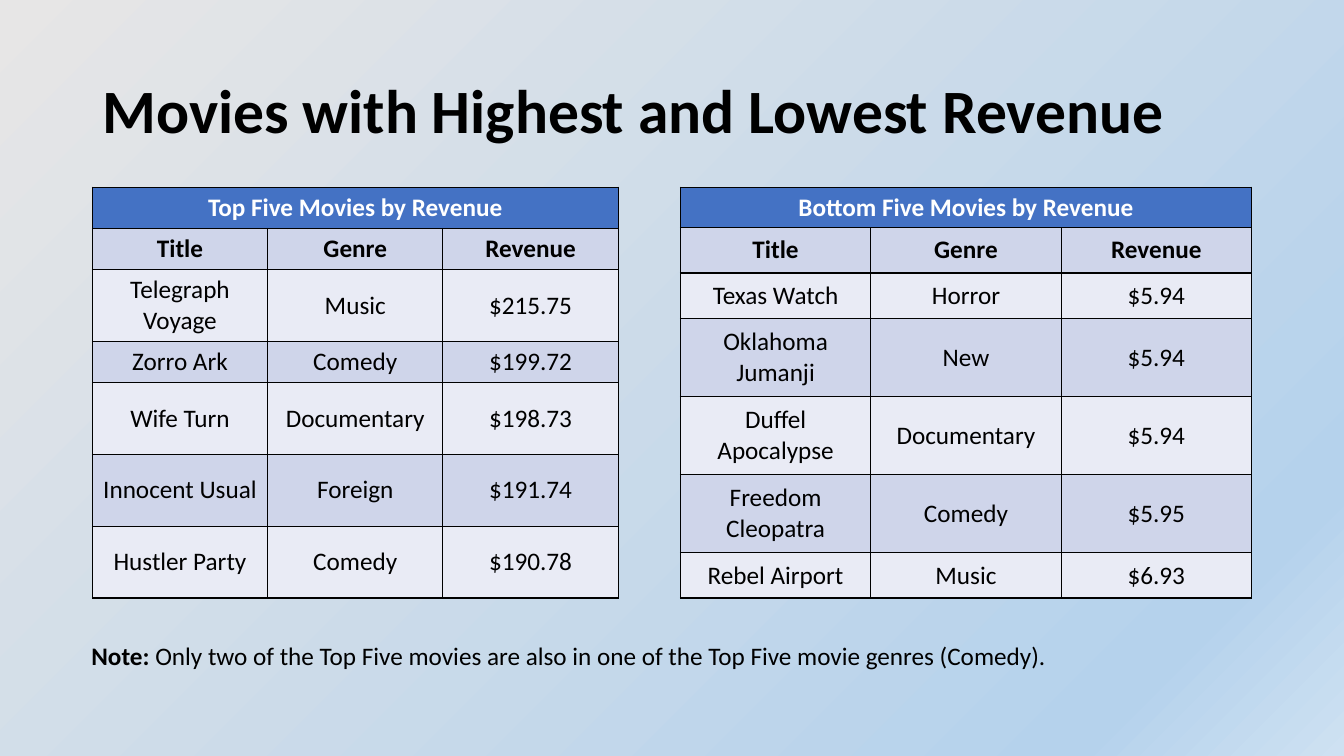
from copy import deepcopy

from lxml.etree import SubElement
from pptx import Presentation
from pptx.dml.color import RGBColor
from pptx.enum.text import MSO_ANCHOR as Anchor, PP_ALIGN as Align
from pptx.oxml.ns import qn
from pptx.util import Inches, Pt

# Colours
BLACK = RGBColor(0x00, 0x00, 0x00)
WHITE = RGBColor(0xFF, 0xFF, 0xFF)
BANNER = RGBColor(0x44, 0x72, 0xC4)
BAND_DARK = RGBColor(0xCF, 0xD5, 0xEA)
BAND_LIGHT = RGBColor(0xE9, 0xEB, 0xF5)
BACKDROP = [
    (0, RGBColor(0xE7, 0xE6, 0xE6)),
    (0.87, RGBColor(0xB5, 0xD2, 0xEC)),
    (1, RGBColor(0xCE, 0xE1, 0xF2)),
]

# Grid of square units over the whole slide
COLUMNS, ROWS = 160, 90
LEFT_EDGE, TABLE_TOP = 11, 22.3


def write(para, text, size=18, bold=False, color=BLACK, font="Calibri"):
    span = para.add_run()
    span.text = text
    span.font.size = Pt(size)
    span.font.bold = bold
    span.font.color.rgb = color
    span.font.name = font


class SlideBuilder:
    def __init__(self, deck):
        self.unit_x = deck.slide_width / COLUMNS
        self.unit_y = deck.slide_height / ROWS
        self.page = deck.slides.add_slide(deck.slide_layouts[6])

    def across(self, columns):
        return round(columns * self.unit_x)

    def down(self, rows):
        return round(rows * self.unit_y)

    def area(self, left, top, width, height):
        return self.across(left), self.down(top), self.across(width), self.down(height)

    def background(self, stops, angle):
        fill = self.page.background.fill
        fill.gradient()
        fill.gradient_angle = angle
        stop_list = next(self.page.element.iter(qn("a:gsLst")))
        while len(stop_list) < len(stops):
            stop_list.append(deepcopy(stop_list[0]))
        for stop, (position, color) in zip(fill.gradient_stops, stops):
            stop.position = position
            stop.color.rgb = color

    def text(self, spans, *place, anchor=Anchor.TOP, spacing=1.0, **style):
        frame = self.page.shapes.add_textbox(*self.area(*place)).text_frame
        frame.word_wrap = True
        frame.vertical_anchor = anchor
        para = frame.paragraphs[0]
        para.line_spacing = spacing
        for text, bold in spans:
            write(para, text, bold=bold, **style)

    def border(self, cell):
        properties = cell._tc.get_or_add_tcPr()
        for index, side in enumerate(("a:lnL", "a:lnR", "a:lnT", "a:lnB")):
            line = properties.makeelement(qn(side), {"w": str(Pt(1))})
            fill = SubElement(line, qn("a:solidFill"))
            SubElement(fill, qn("a:srgbClr"), val=str(BLACK))
            properties.insert(index, line)

    def cell(self, cell, text, fill, **style):
        cell.fill.solid()
        cell.fill.fore_color.rgb = fill
        cell.vertical_anchor = Anchor.MIDDLE
        cell.margin_left = cell.margin_right = Inches(0.09)
        para = cell.text_frame.paragraphs[0]
        para.alignment = Align.CENTER
        if text:
            write(para, text, **style)
        self.border(cell)

    def table(self, heading, movies, left, width, heights):
        lines = [(heading, "", ""), ("Title", "Genre", "Revenue"), *movies]
        place = self.area(left, TABLE_TOP, width, sum(heights))
        table = self.page.shapes.add_table(len(lines), 3, *place).table
        for column in table.columns:
            column.width = self.across(width / 3)
        for number, (line, height) in enumerate(zip(lines, heights)):
            table.rows[number].height = self.down(height)
            fill = BAND_DARK if number % 2 else BAND_LIGHT
            for position, text in enumerate(line):
                self.cell(table.cell(number, position), text,
                          fill if number else BANNER, bold=number < 2,
                          color=BLACK if number else WHITE)
        table.cell(0, 0).merge(table.cell(0, 2))


deck = Presentation()
deck.slide_width, deck.slide_height = Inches(13.333), Inches(7.5)
slide = SlideBuilder(deck)
slide.background(BACKDROP, angle=315)

# Title
slide.text([("Movies with Highest and Lowest Revenue", True)],
           LEFT_EDGE, 4.8, 138, 17.4, anchor=Anchor.MIDDLE, spacing=0.9, size=44)

# Highest revenue
top_movies = [
    ("Telegraph Voyage", "Music", "$215.75"),
    ("Zorro Ark", "Comedy", "$199.72"),
    ("Wife Turn", "Documentary", "$198.73"),
    ("Innocent Usual", "Foreign", "$191.74"),
    ("Hustler Party", "Comedy", "$190.78"),
]
slide.table("Top Five Movies by Revenue", top_movies, LEFT_EDGE, 62.6,
            [4.9, 4.9, 8.55, 4.9, 8.55, 8.55, 8.55])

# Lowest revenue
bottom_movies = [
    ("Texas Watch", "Horror", "$5.94"),
    ("Oklahoma Jumanji", "New", "$5.94"),
    ("Duffel Apocalypse", "Documentary", "$5.94"),
    ("Freedom Cleopatra", "Comedy", "$5.95"),
    ("Rebel Airport", "Music", "$6.93"),
]
slide.table("Bottom Five Movies by Revenue", bottom_movies, 81, 68,
            [4.8, 5.4, 5.4, 9.3, 9.3, 9.3, 5.4])

# Note
slide.text([("Note: ", True),
            ("Only two of the Top Five movies are also in one of "
             "the Top Five movie genres (Comedy).", False)],
           9.7, 75.6, 117.4, 4.8)

deck.save("out.pptx")
